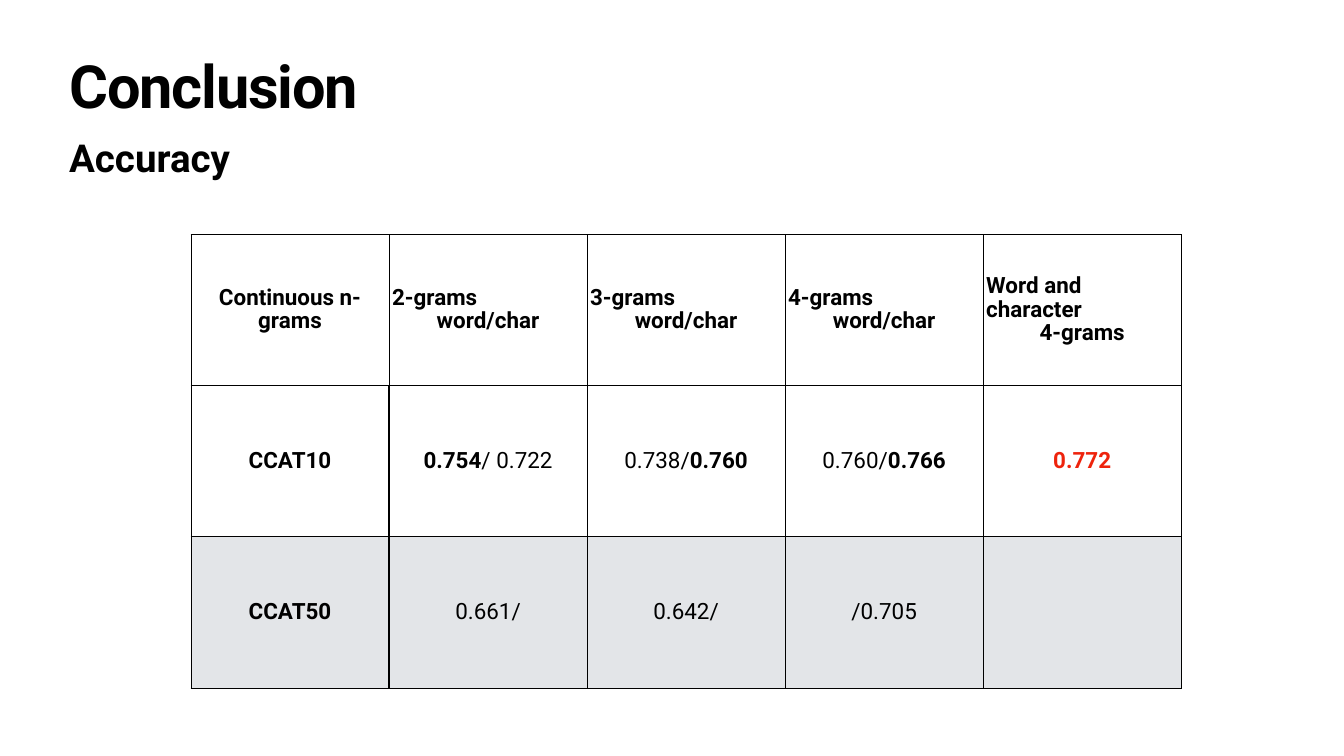
from dataclasses import dataclass

from lxml import etree
from pptx import Presentation
from pptx.dml.color import RGBColor
from pptx.enum.text import MSO_ANCHOR as Anchor, PP_ALIGN as Align
from pptx.oxml.ns import qn
from pptx.util import Inches, Pt

FONT = "Roboto"
BLACK, WHITE, RED, GRAY = "000000", "FFFFFF", "EE230C", "E3E5E8"
COLUMN_WIDTH, ROW_HEIGHT = 3.93, 3
THIN, THICK = 1, 3


@dataclass
class Span:
    text: str
    bold: bool = False


@dataclass
class Line:
    spans: list[Span]
    align: Align = Align.CENTER
    color: str = BLACK


@dataclass
class Heading:
    text: str
    top: float
    height: float
    size: float
    inset: float
    anchor: Anchor
    line_spacing: float = 1.0
    tracking: float = 0


HEADINGS = [
    Heading("Conclusion", 1.18, 1.57, 85, 0.06, Anchor.TOP, 0.8, -1.7),
    Heading("Accuracy", 2.6, 1.02, 55, 0.05, Anchor.MIDDLE),
]


def label(text: str, align: Align = Align.CENTER, color: str = BLACK) -> Line:
    return Line([Span(text, True)], align, color)


def scores(*spans: Span) -> list[Line]:
    return [Line(list(spans))]


def header(name: str, detail: str) -> list[Line]:
    return [label(name, Align.LEFT), label(detail)]


ROWS = [
    [
        [label("Continuous n-grams")],
        header("2-grams", "word/char"),
        header("3-grams", "word/char"),
        header("4-grams", "word/char"),
        header("Word and character", "4-grams"),
    ],
    [
        [label("CCAT10")],
        scores(Span("0.754", True), Span("/ 0.722")),
        scores(Span("0.738/"), Span("0.760", True)),
        scores(Span("0.760/"), Span("0.766", True)),
        [label("0.772", color=RED)],
    ],
    [
        [label("CCAT50")],
        scores(Span("0.661/")),
        scores(Span("0.642/")),
        scores(Span("/0.705")),
        [],
    ],
]


def rgb(color: str) -> RGBColor:
    return RGBColor.from_string(color)


def set_font(font, size: float, color: str) -> None:
    font.name = FONT
    font.size = Pt(size)
    font.color.rgb = rgb(color)


def set_margins(area, inset: float) -> None:
    area.margin_left = area.margin_right = Inches(inset)
    area.margin_top = area.margin_bottom = Inches(inset)


def add_heading(page, heading: Heading) -> None:
    box = page.shapes.add_textbox(
        Inches(1.32), Inches(heading.top), Inches(24.03), Inches(heading.height)
    )
    frame = box.text_frame
    frame.word_wrap = True
    frame.vertical_anchor = heading.anchor
    set_margins(frame, heading.inset)
    para = frame.paragraphs[0]
    para.line_spacing = heading.line_spacing
    set_font(para.font, heading.size, BLACK)
    para.font.bold = True
    span = para.add_run()
    span.text = heading.text
    if heading.tracking:
        span._r.get_or_add_rPr().set("spc", str(round(heading.tracking * 100)))


def add_borders(cell, row: int, column: int) -> None:
    """Draw thin cell edges, thickened around the header row and label column."""
    widths = {
        "a:lnL": THICK if row and column == 1 else THIN,
        "a:lnR": THICK if row and column == 0 else THIN,
        "a:lnT": THICK if row == 1 and column else THIN,
        "a:lnB": THICK if row == 0 else THIN,
    }
    properties = cell._tc.get_or_add_tcPr()
    for edge, width in widths.items():
        border = etree.SubElement(properties, qn(edge), w=str(Pt(width)))
        fill = etree.SubElement(border, qn("a:solidFill"))
        etree.SubElement(fill, qn("a:srgbClr"), val=BLACK)


def fill_cell(cell, lines: list[Line], background: str) -> None:
    cell.fill.solid()
    cell.fill.fore_color.rgb = rgb(background)
    cell.vertical_anchor = Anchor.MIDDLE
    set_margins(cell, 0.06)
    frame = cell.text_frame
    for index, line in enumerate(lines):
        para = frame.add_paragraph() if index else frame.paragraphs[0]
        para.alignment = line.align
        para.line_spacing = 0.9
        set_font(para.font, 32, line.color)
        for part in line.spans:
            span = para.add_run()
            span.text = part.text
            span.font.bold = part.bold


def add_accuracy_table(page) -> None:
    row_count, column_count = len(ROWS), len(ROWS[0])
    table = page.shapes.add_table(
        row_count, column_count, Inches(3.79), Inches(4.65),
        Inches(COLUMN_WIDTH * column_count), Inches(ROW_HEIGHT * row_count),
    ).table
    table.first_row = table.horz_banding = False
    for column in table.columns:
        column.width = Inches(COLUMN_WIDTH)
    for row, cells in enumerate(ROWS):
        table.rows[row].height = Inches(ROW_HEIGHT)
        background = GRAY if row == row_count - 1 else WHITE
        for column, lines in enumerate(cells):
            cell = table.cell(row, column)
            add_borders(cell, row, column)
            fill_cell(cell, lines, background)


def main() -> None:
    deck = Presentation()
    deck.slide_width, deck.slide_height = Inches(26.67), Inches(15)
    page = deck.slides.add_slide(deck.slide_layouts[6])
    for heading in HEADINGS:
        add_heading(page, heading)
    add_accuracy_table(page)
    deck.save("out.pptx")


if __name__ == "__main__":
    main()
